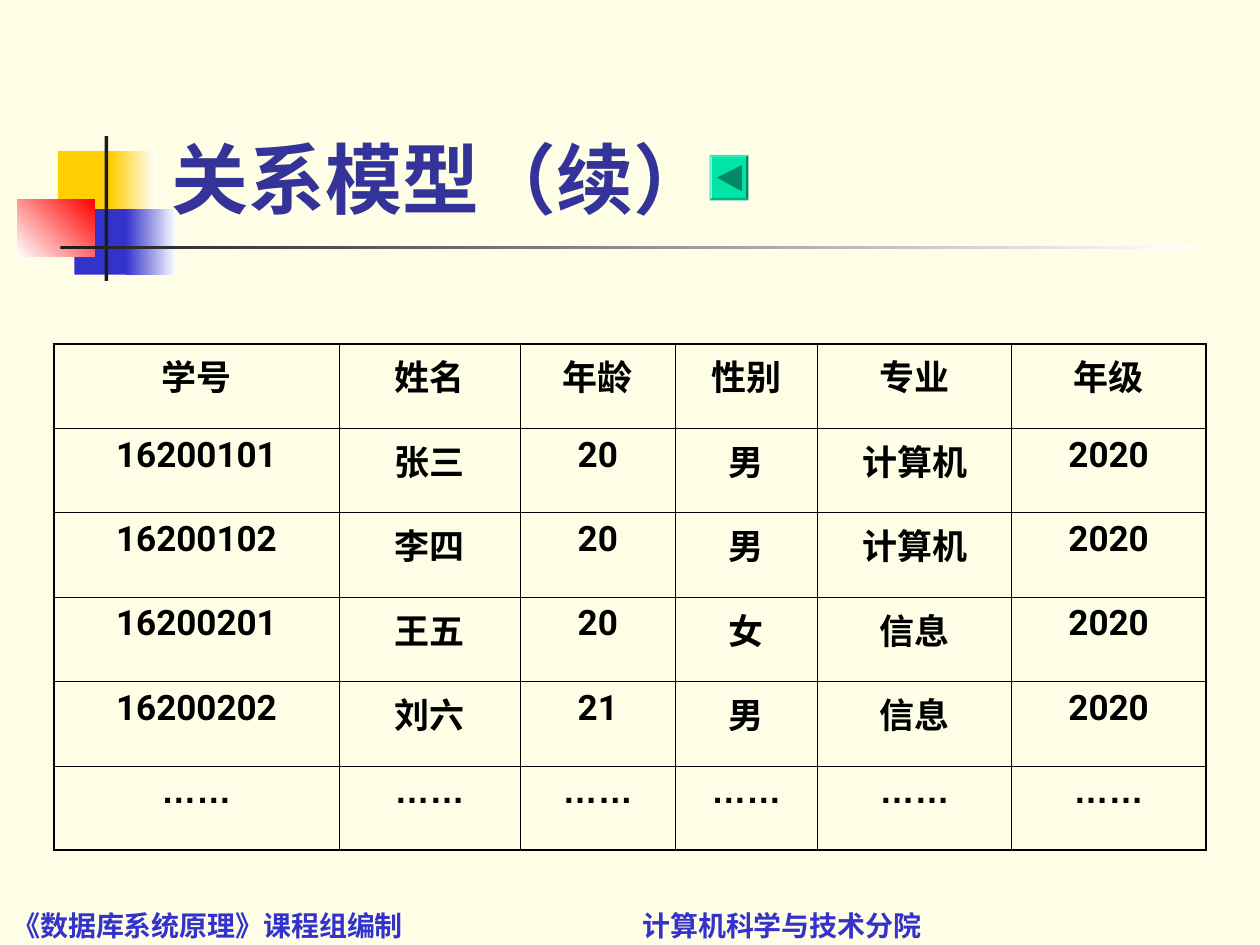
from lxml import etree
from pptx import Presentation
from pptx import util as u
from pptx.dml.color import RGBColor
from pptx.enum import shapes, text
from pptx.oxml import ns

CJK = "Noto Sans CJK SC"


def rgb(color):
    return RGBColor.from_string(color)


def write(p, txt, size, color, font="Roboto", ea=CJK):
    """Add a bold run with separate Latin and East Asian fonts."""
    r = p.add_run()
    r.text = txt
    r.font.size, r.font.bold, r.font.name = u.Pt(size), True, font
    r.font.color.rgb = rgb(color)
    etree.SubElement(r.font._element, ns.qn("a:ea"), typeface=ea)


prs = Presentation()
prs.slide_width, prs.slide_height = u.Inches(10), u.Inches(7.5)
s = prs.slides.add_slide(prs.slide_layouts[6])
s.background.fill.solid()
s.background.fill.fore_color.rgb = rgb("FEFEE6")

# Title decoration: left, top, width, height, colours, gradient angle
decoration = [
    (0.46, 1.2, 0.48, 0.52, ["FFCF01"], 0),
    (0.88, 1.2, 0.36, 0.52, ["FFCF01", "FFFFFF"], 0),
    (0.59, 1.66, 0.46, 0.52, ["3333CC"], 0),
    (1, 1.66, 0.4, 0.52, ["3333CC", "FFFFFF"], 0),
    (0.14, 1.58, 0.61, 0.46, ["FFFFFF", "FF0000"], 45),
    (0.83, 1.08, 0.03, 1.15, ["1C1C1C"], 0),
    (0.48, 1.95, 9, 0.03, ["1C1C1C", "FFFFFF"], 0),
]
for *box, colors, angle in decoration:
    sp = s.shapes.add_shape(shapes.MSO_SHAPE.RECTANGLE, *map(u.Inches, box))
    sp.shadow.inherit = False
    sp.line.fill.background()
    if len(colors) == 1:
        sp.fill.solid()
        sp.fill.fore_color.rgb = rgb(colors[0])
    else:
        sp.fill.gradient()
        sp.fill.gradient_angle = angle
        for stop, color in zip(sp.fill.gradient_stops, colors):
            stop.color.rgb = rgb(color)

# Footer and title; a tab stop places the second half of the footer
labels = [
    ((0, 7.29, 10, 0.24), "《数据库系统原理》课程组编制\t计算机科学与技术分院", 16, "3333CC", CJK),
    ((1.26, 0.23, 8.52, 1.6), "关系模型（续）", 44, "333399", "Roboto"),
]
for box, txt, size, color, font in labels:
    tf = s.shapes.add_textbox(*map(u.Inches, box)).text_frame
    tf.word_wrap = True
    tf.vertical_anchor = text.MSO_ANCHOR.BOTTOM
    p = tf.paragraphs[0]
    if "\t" in txt:
        tabs = etree.SubElement(p._p.get_or_add_pPr(), ns.qn("a:tabLst"))
        etree.SubElement(tabs, ns.qn("a:tab"), pos=str(u.Inches(5)), algn="l")
    write(p, txt, size, color, font)

# Student table
rows = [
    ["学号", "姓名", "年龄", "性别", "专业", "年级"],
    ["16200101", "张三", "20", "男", "计算机", "2020"],
    ["16200102", "李四", "20", "男", "计算机", "2020"],
    ["16200201", "王五", "20", "女", "信息", "2020"],
    ["16200202", "刘六", "21", "男", "信息", "2020"],
    ["……"] * 6,
]
widths = [2.26, 1.44, 1.23, 1.13, 1.54, 1.54]
last_row, last_col = len(rows) - 1, len(widths) - 1
box = (0.43, 2.73, sum(widths), 0.67 * len(rows))
table = s.shapes.add_table(len(rows), len(widths), *map(u.Inches, box)).table
table.first_row = table.horz_banding = False
for col, width in zip(table.columns, widths):
    col.width = u.Inches(width)
for i, row in enumerate(rows):
    table.rows[i].height = u.Inches(0.67)
    for j, txt in enumerate(row):
        cell = table.cell(i, j)
        outer = {"lnL": j == 0, "lnR": j == last_col, "lnT": i == 0, "lnB": i == last_row}
        for side, is_outer in outer.items():
            ln = etree.SubElement(cell._tc.get_or_add_tcPr(), ns.qn("a:" + side),
                                  w=str(u.Pt(1.08 if is_outer else 0.45)))
            fill = etree.SubElement(ln, ns.qn("a:solidFill"))
            etree.SubElement(fill, ns.qn("a:srgbClr"), val="000000")
        cell.fill.background()
        p = cell.text_frame.paragraphs[0]
        p.alignment = text.PP_ALIGN.CENTER
        p.space_before = u.Pt(5)
        fonts = ("Arial", "Arial") if txt == "……" else ("Roboto", CJK)
        write(p, txt, 20, "000000", *fonts)

# Back button
button = s.shapes.add_shape(shapes.MSO_SHAPE.BEVEL, *map(u.Inches, (5.63, 1.23, 0.31, 0.36)))
button.adjustments[0] = 0.06
fb = s.shapes.build_freeform(u.Inches(5.69), u.Inches(1.41))
fb.add_line_segments([(u.Inches(5.89), u.Inches(y)) for y in (1.31, 1.52)])
arrow = fb.convert_to_shape()
for sp, color in ((button, "00E4A8"), (arrow, "008965")):
    sp.shadow.inherit = False
    sp.line.fill.background()
    sp.fill.solid()
    sp.fill.fore_color.rgb = rgb(color)

prs.save("out.pptx")
